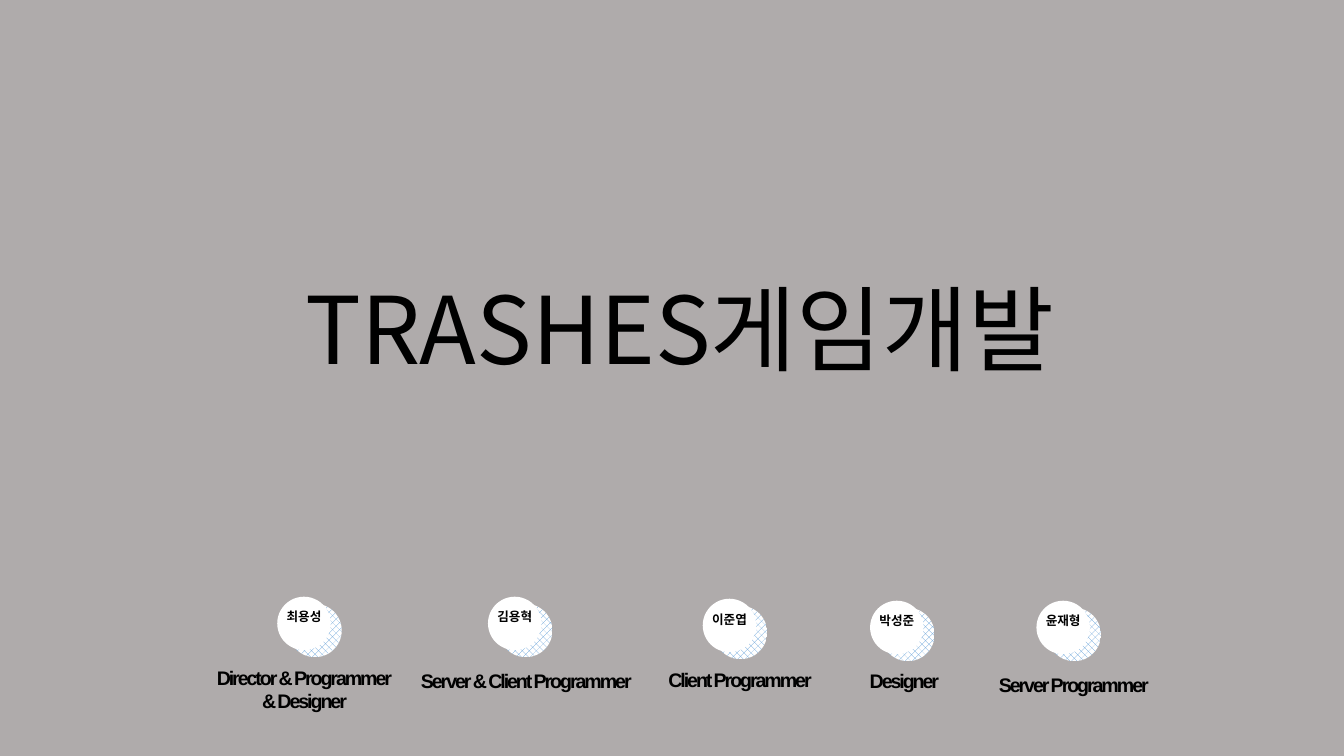
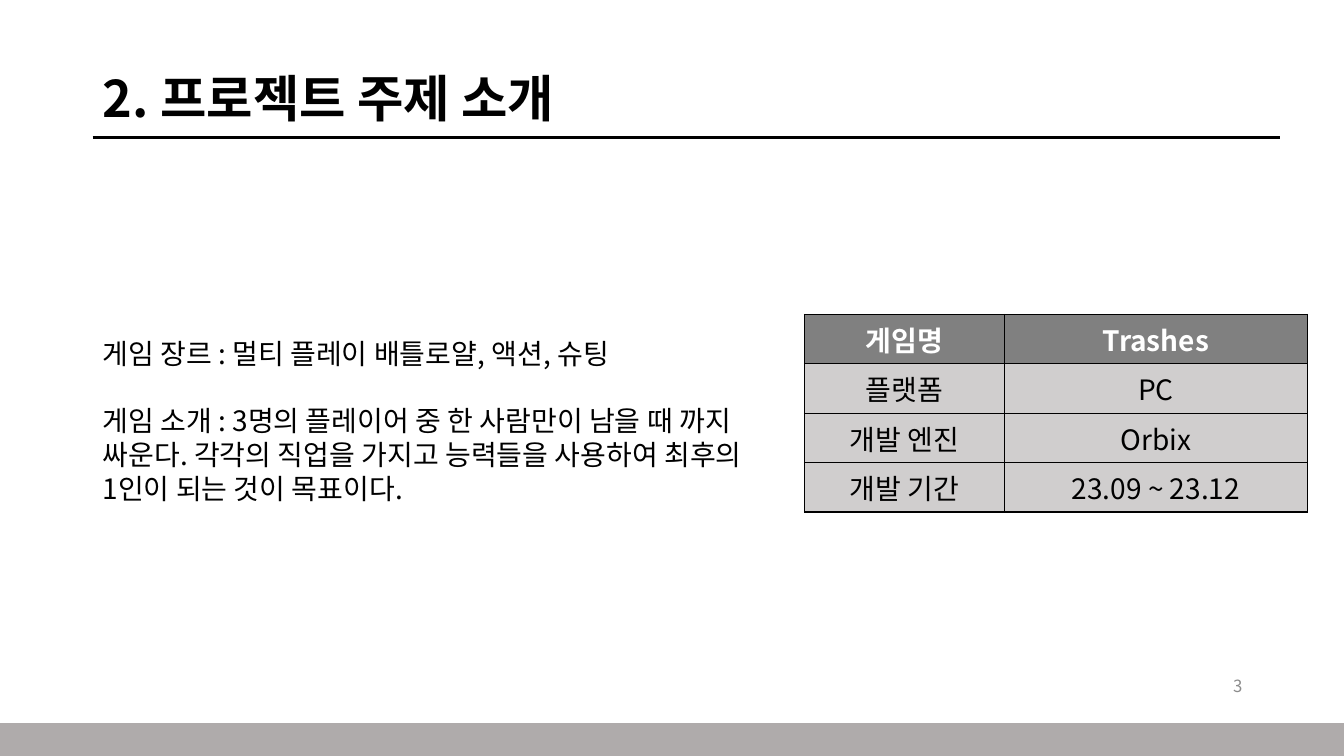
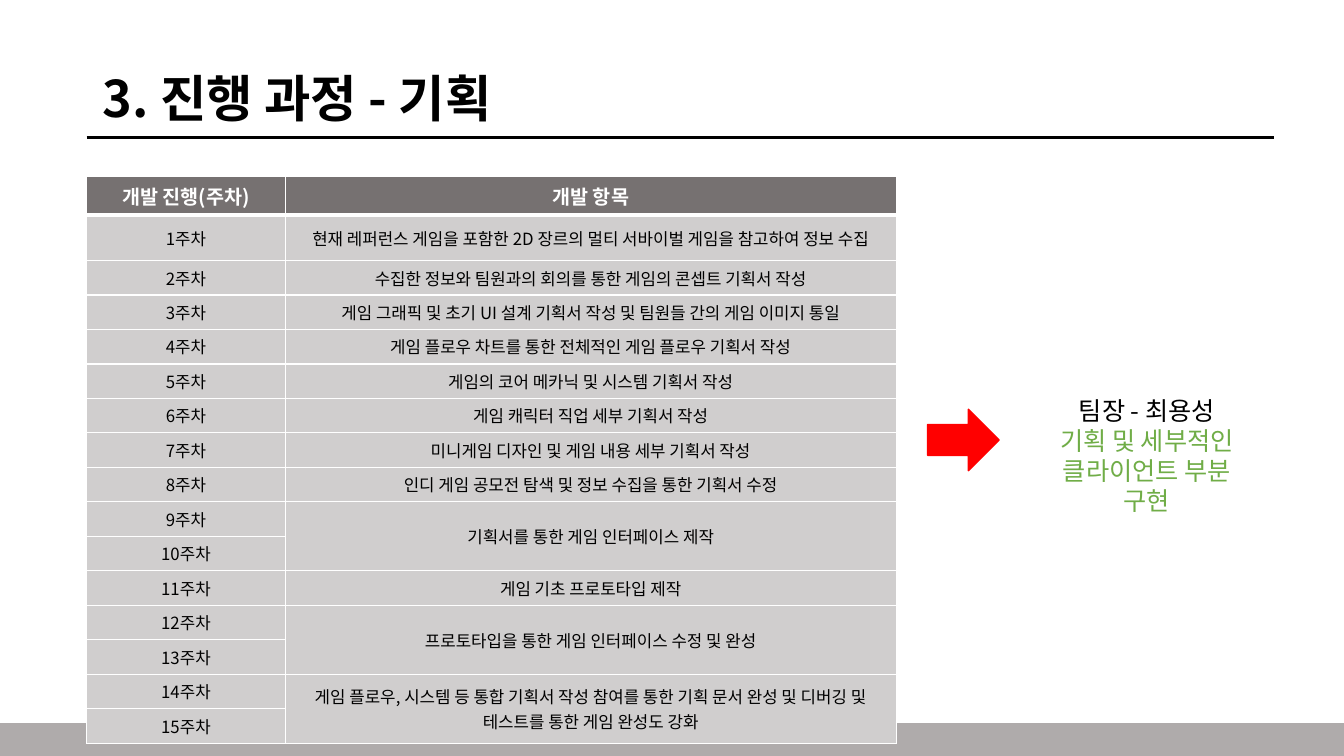
from dataclasses import dataclass

from lxml.etree import SubElement
from pptx import Presentation
from pptx.dml.color import RGBColor
from pptx.enum.dml import MSO_PATTERN
from pptx.enum.shapes import MSO_CONNECTOR, MSO_SHAPE
from pptx.enum.text import MSO_ANCHOR, MSO_AUTO_SIZE, PP_ALIGN
from pptx.oxml.ns import qn
from pptx.util import Inches, Pt


@dataclass(frozen=True)
class Theme:
    font: str = "Noto Sans CJK KR"
    latin: str = "Arial"
    black: str = "000000"
    white: str = "FFFFFF"
    band: str = "AFABAB"
    cell: str = "D0CECE"
    info_head: str = "808080"
    plan_head: str = "767171"
    muted: str = "8C8C8C"
    blue: str = "5B9BD5"
    red: str = "FF0000"
    green: str = "70AD47"
    cover: float = 66.6
    title: float = 36
    body: float = 20
    note: float = 18
    label: float = 14
    small: float = 12
    name: float = 9


T = Theme()
CENTER = PP_ALIGN.CENTER


def rgb(value):
    return RGBColor.from_string(value)


def write(tf, lines, size=T.body, color=T.black, font=T.font, bold=False,
          align=PP_ALIGN.LEFT, leading=None, gap=0, tracking=None):
    for i, line in enumerate([lines] if isinstance(lines, str) else lines):
        text, shade = (line, color) if isinstance(line, str) else line
        p = tf.paragraphs[0] if i == 0 else tf.add_paragraph()
        p.alignment = align
        p.space_before = Pt(gap if i else 0)
        if leading:
            p.line_spacing = leading
        r = p.add_run()
        r.text = text
        r.font.name = font
        r.font.size = Pt(size)
        r.font.bold = bold
        r.font.color.rgb = rgb(shade)
        rpr = r.font._element
        SubElement(rpr, qn("a:ea")).set("typeface", font)
        if tracking:
            rpr.set("spc", str(int(tracking * 100)))


class Deck:
    def __init__(self):
        self.prs = Presentation()
        self.prs.slide_width = Inches(13.33)
        self.prs.slide_height = Inches(7.5)
        self.s = None

    def slide(self, background=T.white):
        self.s = self.prs.slides.add_slide(self.prs.slide_layouts[5])
        fill = self.s.background.fill
        fill.solid()
        fill.fore_color.rgb = rgb(background)

    def title(self, text, box, **fmt):
        sp = self.s.shapes.title
        sp.left, sp.top, sp.width, sp.height = map(Inches, box)
        tf = sp.text_frame
        tf.auto_size = MSO_AUTO_SIZE.NONE
        tf.vertical_anchor = MSO_ANCHOR.MIDDLE
        write(tf, text, **fmt)

    def content(self, title, rule_left):
        self.slide()
        self.title(title, (0.92, 0.64, 11.5, 0.72), size=T.title, bold=True, leading=0.9)
        self.rule(rule_left, 1.36, 11.78)
        self.shape(MSO_SHAPE.RECTANGLE, (0, 7.18, 13.33, 0.32), T.band, line=T.band)

    def text(self, lines, box, inset=None, anchor=MSO_ANCHOR.TOP, **fmt):
        tf = self.s.shapes.add_textbox(*map(Inches, box)).text_frame
        tf.word_wrap = True
        tf.vertical_anchor = anchor
        if inset is not None:
            tf.margin_left = tf.margin_right = Inches(inset)
            tf.margin_top = tf.margin_bottom = Inches(inset)
        write(tf, lines, **fmt)

    def shape(self, kind, box, color, line=None, pattern=None):
        sp = self.s.shapes.add_shape(kind, *map(Inches, box))
        sp.shadow.inherit = False
        if pattern:
            sp.fill.patterned()
            sp.fill.pattern = pattern
            sp.fill.back_color.rgb = rgb(T.white)
        else:
            sp.fill.solid()
        sp.fill.fore_color.rgb = rgb(color)
        if line:
            sp.line.color.rgb = rgb(line)
            sp.line.width = Pt(1)
        else:
            sp.line.fill.background()

    def rule(self, left, top, width):
        cx = self.s.shapes.add_connector(
            MSO_CONNECTOR.STRAIGHT, Inches(left), Inches(top), Inches(left + width), Inches(top))
        cx.line.color.rgb = rgb(T.black)
        cx.line.width = Pt(2.25)
        SubElement(cx._element.spPr, qn("a:effectLst"))

    def member(self, name, left, top):
        d = 0.53
        self.shape(MSO_SHAPE.OVAL, (left + 0.11, top + 0.07, d, d), T.blue,
                   pattern=MSO_PATTERN.PERCENT_50)
        self.shape(MSO_SHAPE.OVAL, (left, top, d, d), T.white)
        self.text(name, (left - 0.05, top + 0.05, 0.63, 0.35), inset=0.1, size=T.name,
                  bold=True, align=CENTER, leading=Pt(10.8))

    def border(self, cell, color, widths):
        tcpr = cell._tc.get_or_add_tcPr()
        for side, width in zip("LRTB", widths):
            ln = SubElement(tcpr, qn(f"a:ln{side}"), w=str(Pt(width)))
            SubElement(SubElement(ln, qn("a:solidFill")), qn("a:srgbClr"), val=color)

    def table(self, rows, left, top, cols, heights, head, line, head_size, size,
              head_line=1, margins=(0.1, 0.05)):
        box = map(Inches, (left, top, sum(cols), sum(heights)))
        tbl = self.s.shapes.add_table(len(rows), len(cols), *box).table
        tbl.first_row = tbl.horz_banding = False
        for col, width in zip(tbl.columns, cols):
            col.width = Inches(width)
        for i, (values, height) in enumerate(zip(rows, heights)):
            tbl.rows[i].height = Inches(height)
            for j, value in enumerate(values):
                cell = tbl.cell(i, j)
                cell.margin_left = cell.margin_right = Inches(margins[0])
                cell.margin_top = cell.margin_bottom = Inches(margins[1])
                cell.vertical_anchor = MSO_ANCHOR.MIDDLE
                self.border(cell, line, (1, 1, head_line if i == 1 else 1,
                                         head_line if i == 0 else 1))
                cell.fill.solid()
                cell.fill.fore_color.rgb = rgb(T.cell if i else head)
                if value is None:
                    tbl.cell(i - 1, j).merge(cell)
                else:
                    write(cell.text_frame, value, size=size if i else head_size,
                          color=T.black if i else T.white, bold=i == 0, align=CENTER)


def cover(deck):
    deck.slide(T.band)
    members = [
        ("최용성", 2.75, 5.92, ["Director & Programmer", "& Designer"], 1.6, 6.55, 2.84),
        ("김용혁", 4.84, 5.92, "Server & Client Programmer", 3.8, 6.58, 2.84),
        ("이준엽", 6.97, 5.94, "Client Programmer", 6.13, 6.57, 2.42),
        ("박성준", 8.63, 5.96, "Designer", 7.66, 6.58, 2.62),
        ("윤재형", 10.28, 5.96, "Server Programmer", 9.23, 6.62, 2.84),
    ]
    for name, x, y, role, left, top, width in members:
        deck.text(role, (left, top, width, 0.34), size=T.label, font=T.latin, bold=True,
                  align=CENTER, leading=Pt(17), tracking=-1.5)
        deck.member(name, x, y)
    deck.title("TRASHES게임개발", (1.74, 2.83, 10, 1.03), size=T.cover,
               align=CENTER, leading=0.8)


def topic(deck):
    deck.content("2. 프로젝트 주제 소개", 0.92)
    rows = [("게임명", "Trashes"), ("플랫폼", "PC"), ("개발 엔진", "Orbix"),
            ("개발 기간", "23.09 ~ 23.12")]
    deck.table(rows, 7.98, 3.12, (1.98, 3.01), [0.49] * len(rows), T.info_head, T.black,
               T.body, T.body, margins=(0.09, 0.04))
    deck.text("3", (9.42, 6.6, 3, 0.4), anchor=MSO_ANCHOR.MIDDLE, size=T.small,
              color=T.muted, align=PP_ALIGN.RIGHT)
    deck.text(["게임 장르 : 멀티 플레이 배틀로얄, 액션, 슈팅",
               "게임 소개 : 3명의 플레이어 중 한 사람만이 남을 때 까지 싸운다. "
               "각각의 직업을 가지고 능력들을 사용하여 최후의 1인이 되는 것이 목표이다."],
              (0.92, 3.29, 6.67, 1.78), leading=Pt(24), gap=24)


def progress(deck):
    deck.content("3. 진행 과정 - 기획", 0.86)
    tasks = [
        "현재 레퍼런스 게임을 포함한 2D 장르의 멀티 서바이벌 게임을 참고하여 정보 수집",
        "수집한 정보와 팀원과의 회의를 통한 게임의 콘셉트 기획서 작성",
        "게임 그래픽 및 초기 UI 설계 기획서 작성 및 팀원들 간의 게임 이미지 통일",
        "게임 플로우 차트를 통한 전체적인 게임 플로우 기획서 작성",
        "게임의 코어 메카닉 및 시스템 기획서 작성",
        "게임 캐릭터 직업 세부 기획서 작성",
        "미니게임 디자인 및 게임 내용 세부 기획서 작성",
        "인디 게임 공모전 탐색 및 정보 수집을 통한 기획서 수정",
        "기획서를 통한 게임 인터페이스 제작",
        None,
        "게임 기초 프로토타입 제작",
        "프로토타입을 통한 게임 인터페이스 수정 및 완성",
        None,
        "게임 플로우, 시스템 등 통합 기획서 작성 참여를 통한 기획 문서 완성 및 디버깅 및 "
        "테스트를 통한 게임 완성도 강화",
        None,
    ]
    rows = [("개발 진행(주차)", "개발 항목")]
    rows += [(f"{week}주차", task) for week, task in enumerate(tasks, 1)]
    deck.table(rows, 0.86, 1.75, (1.97, 6.06), [0.38, 0.45] + [0.34] * 14, T.plan_head,
               T.white, T.label, T.small, head_line=3)
    deck.shape(MSO_SHAPE.RIGHT_ARROW, (9.2, 4.06, 0.71, 0.61), T.red, line=T.red)
    deck.text(["팀장 - 최용성", ("기획 및 세부적인", T.green),
               ("클라이언트 부분 구현", T.green)],
              (10.22, 3.87, 2.31, 1.3), size=T.note, align=CENTER, leading=Pt(21.5))


def main():
    deck = Deck()
    for build in (cover, topic, progress):
        build(deck)
    deck.prs.save("out.pptx")


if __name__ == "__main__":
    main()
